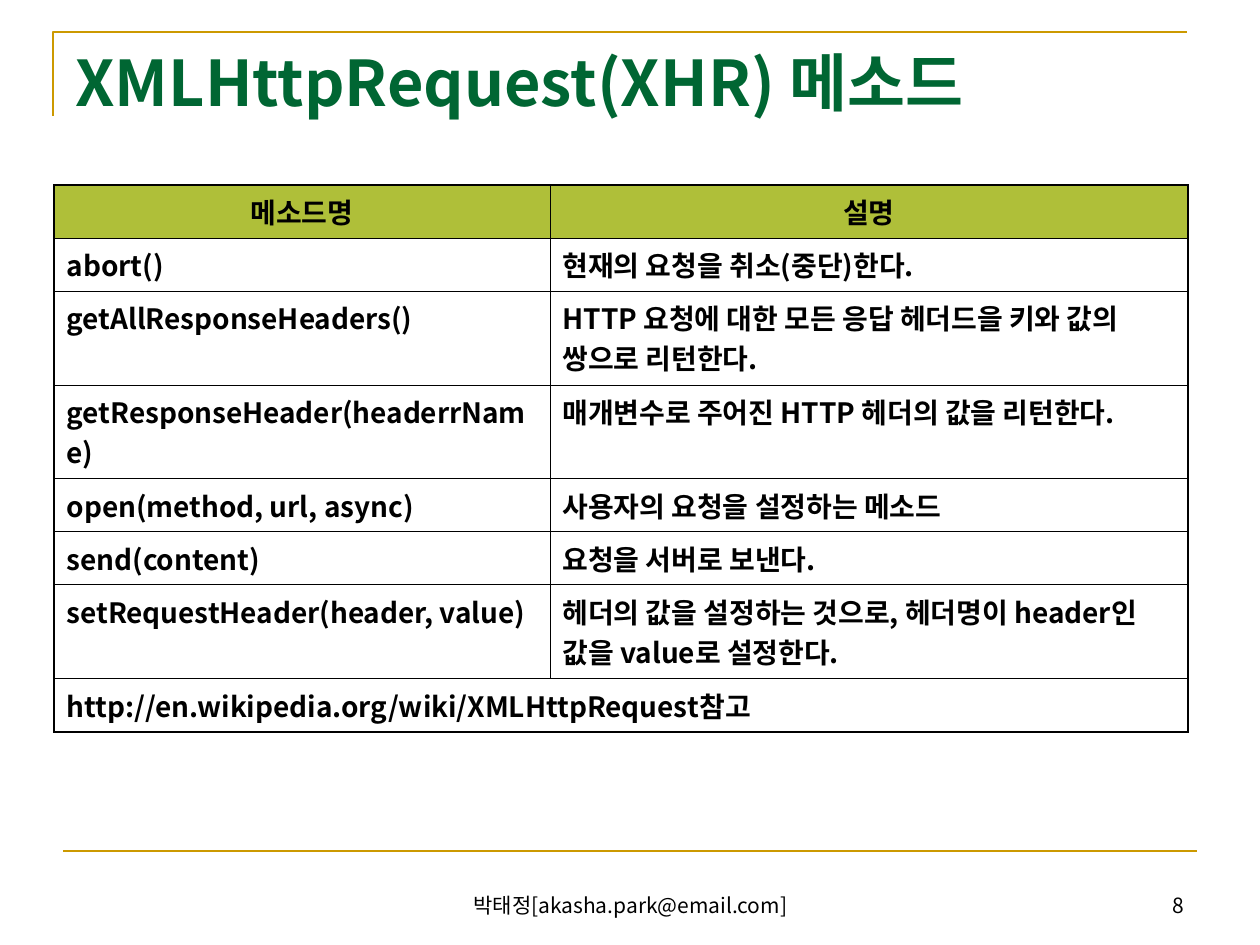
from lxml import etree
from pptx import Presentation
from pptx import util as u
from pptx.dml.color import RGBColor
from pptx.enum import shapes, text
from pptx.oxml import ns

FONT = "Noto Sans CJK KR"
GOLD = RGBColor(0xCC, 0x99, 0x00)
GREEN = RGBColor(0x00, 0x66, 0x33)
OLIVE = RGBColor(0xAF, 0xBF, 0x39)
BLACK = RGBColor(0, 0, 0)
THIN, THICK = 0.45, 1.08

TITLE = "XMLHttpRequest(XHR) 메소드"
AUTHOR = "박태정[akasha.park@email.com]"
PAGE = "8"
METHODS = [
    ("메소드명", "설명"),
    ("abort()", "현재의 요청을 취소(중단)한다."),
    ("getAllResponseHeaders()", "HTTP 요청에 대한 모든 응답 헤더드을 키와 값의 쌍으로 리턴한다."),
    ("getResponseHeader(headerrName)", "매개변수로 주어진 HTTP 헤더의 값을 리턴한다."),
    ("open(method, url, async)", "사용자의 요청을 설정하는 메소드"),
    ("send(content)", "요청을 서버로 보낸다."),
    ("setRequestHeader(header, value)", "헤더의 값을 설정하는 것으로, 헤더명이 header인 값을 value로 설정한다."),
    ("http://en.wikipedia.org/wiki/XMLHttpRequest참고", ""),
]
COLUMN_WIDTHS = (496, 638)
ONE_LINE, TWO_LINES = 53, 94
ROW_HEIGHTS = [ONE_LINE, ONE_LINE, TWO_LINES, TWO_LINES,
               ONE_LINE, ONE_LINE, TWO_LINES, ONE_LINE]


def px(value):
    return u.Emu(round(value * 914400 / 126))


def write(frame, content, size=16, color=BLACK, bold=False, align=text.PP_ALIGN.LEFT):
    paragraph = frame.paragraphs[0]
    paragraph.alignment = align
    run = paragraph.add_run()
    run.text = content
    font = run.font
    font.name, font.size, font.bold = FONT, u.Pt(size), bold
    font.color.rgb = color
    east_asian = etree.SubElement(run._r.get_or_add_rPr(), ns.qn("a:ea"))
    east_asian.set("typeface", FONT)


def add_text(slide, box, content, anchor, **format):
    frame = slide.shapes.add_textbox(*map(px, box)).text_frame
    frame.word_wrap = True
    frame.vertical_anchor = anchor
    write(frame, content, **format)


def set_borders(cell, **widths):
    properties = cell._tc.get_or_add_tcPr()
    for index, (side, width) in enumerate(widths.items()):
        line = etree.Element(ns.qn("a:ln" + side), w=str(u.Pt(width)))
        fill = etree.SubElement(line, ns.qn("a:solidFill"))
        etree.SubElement(fill, ns.qn("a:srgbClr"), val=str(BLACK))
        properties.insert(index, line)


def add_rules(slide):
    builder = slide.shapes.build_freeform(px(53), px(116), scale=1.0)
    builder.add_line_segments([(px(53), px(32)), (px(1187), px(32))], close=False)
    corner = builder.convert_to_shape()
    corner.shadow.inherit = False
    corner.fill.background()
    footer = slide.shapes.add_connector(
        shapes.MSO_CONNECTOR.STRAIGHT, px(63), px(851), px(1197), px(851))
    etree.SubElement(footer._element.spPr, ns.qn("a:effectLst"))
    for rule in (corner, footer):
        rule.line.color.rgb = GOLD
        rule.line.width = u.Pt(1.5)


def add_methods(slide):
    last_row, last_column = len(METHODS) - 1, len(COLUMN_WIDTHS) - 1
    table = slide.shapes.add_table(
        len(METHODS), len(COLUMN_WIDTHS), px(54), px(185),
        px(sum(COLUMN_WIDTHS)), px(sum(ROW_HEIGHTS))).table
    table.horz_banding = table.first_row = False
    for column, width in zip(table.columns, COLUMN_WIDTHS):
        column.width = px(width)
    for row, height in zip(table.rows, ROW_HEIGHTS):
        row.height = px(height)
    for r, contents in enumerate(METHODS):
        header = r == 0
        for c, content in enumerate(contents):
            cell = table.cell(r, c)
            if header:
                cell.fill.solid()
                cell.fill.fore_color.rgb = OLIVE
            else:
                cell.fill.background()
            set_borders(cell,
                        L=THICK if c == 0 else THIN,
                        R=THICK if c == last_column or r == last_row else THIN,
                        T=THICK if header else THIN,
                        B=THICK if r == last_row else THIN)
            if content:
                write(cell.text_frame, content, bold=True,
                      align=text.PP_ALIGN.CENTER if header else text.PP_ALIGN.LEFT)
    table.cell(last_row, 0).merge(table.cell(last_row, last_column))


def main():
    presentation = Presentation()
    presentation.slide_width, presentation.slide_height = px(1260), px(945)
    slide = presentation.slides.add_slide(presentation.slide_layouts[6])
    add_rules(slide)
    add_text(slide, (63, 38, 1134, 87), TITLE, text.MSO_ANCHOR.MIDDLE,
             size=36, color=GREEN, bold=True)
    add_methods(slide)
    add_text(slide, (431, 861, 399, 63), AUTHOR, text.MSO_ANCHOR.BOTTOM,
             size=12, align=text.PP_ALIGN.CENTER)
    add_text(slide, (903, 861, 294, 63), PAGE, text.MSO_ANCHOR.BOTTOM,
             size=12, align=text.PP_ALIGN.RIGHT)
    presentation.save("out.pptx")


if __name__ == "__main__":
    main()
